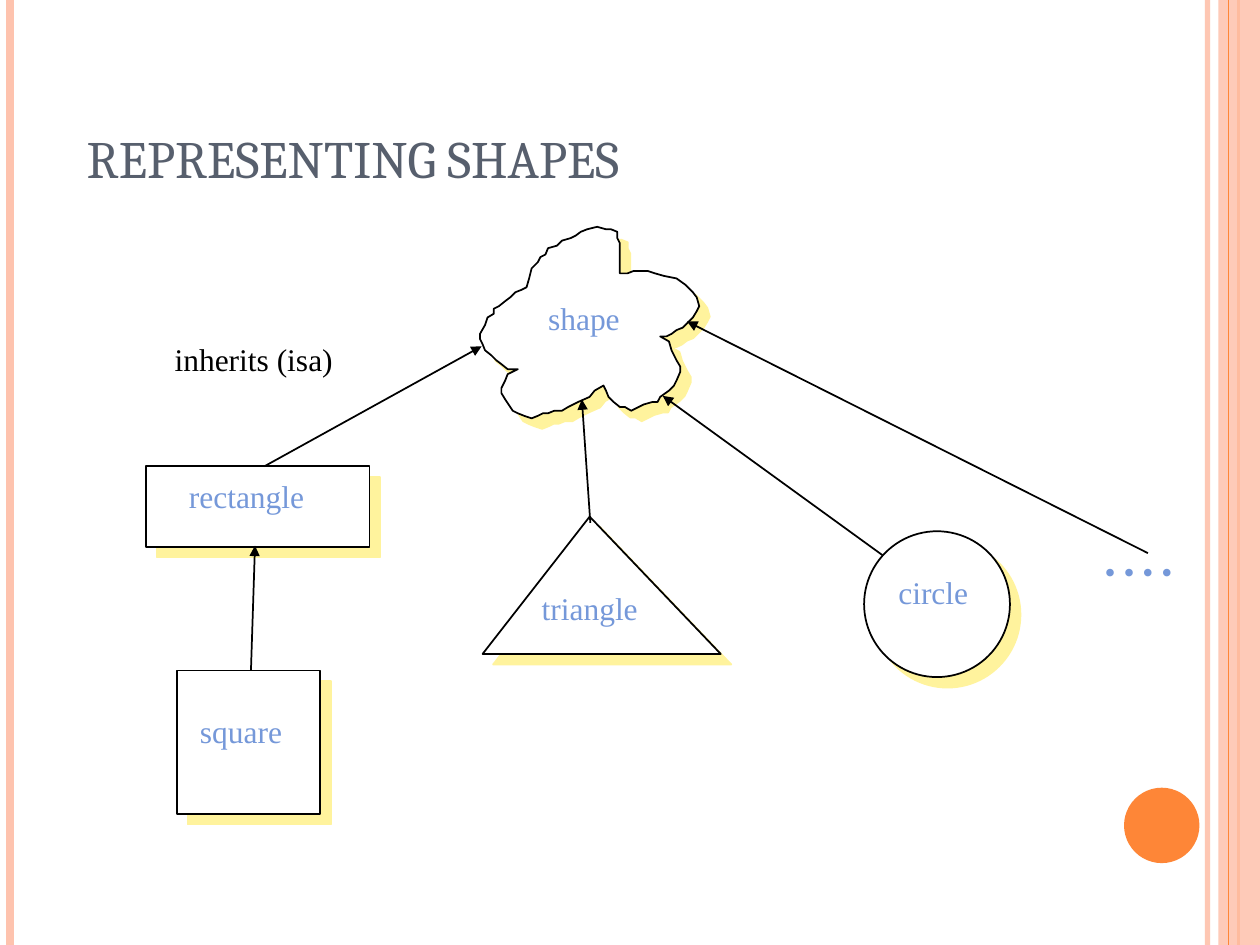
import dataclasses
import pptx
import pptx.util
import pptx.dml.color
import pptx.enum.shapes
import pptx.enum.text
import pptx.oxml
import pptx.oxml.ns
from pptx.util import Cm, Pt

MSO = pptx.enum.shapes.MSO_SHAPE


@dataclasses.dataclass(frozen=True)
class Theme:
    accent: str = "FE8637"
    pale: str = "FEC3AE"
    title: str = "575F6D"
    label: str = "7598D9"
    shadow: str = "FFF39D"
    ink: str = "000000"
    paper: str = "FFFFFF"
    title_font: str = "Cambria"
    body_font: str = "Times New Roman"
    title_size: int = 30
    body_size: int = 18
    outline: int = 1


T = Theme()

# Outlines in hundredths of an inch
UNIT = Cm(0.0254)
TRIANGLE = [(572, 519), (383, 519), (468, 410)]
CLOUD = [
    (420, 221), (422, 213), (427, 208), (429, 204), (433, 202), (435, 197),
    (442, 195), (446, 191), (453, 189), (457, 187), (461, 184), (466, 182),
    (474, 180), (481, 182), (485, 182), (490, 184), (490, 189), (492, 193),
    (492, 217), (498, 217), (503, 215), (514, 215), (520, 217), (527, 219),
    (537, 221), (544, 226), (550, 232), (553, 236), (555, 243), (553, 247),
    (550, 252), (546, 256), (542, 260), (537, 262), (533, 265), (529, 267),
    (524, 267), (531, 271), (533, 278), (535, 282), (537, 286), (540, 291),
    (540, 295), (537, 302), (535, 306), (531, 310), (524, 315), (522, 319),
    (518, 319), (511, 321), (507, 323), (501, 326), (496, 323), (492, 323),
    (487, 319), (483, 315), (481, 310), (479, 306), (472, 310), (468, 315),
    (459, 319), (455, 321), (451, 323), (446, 326), (440, 326), (435, 328),
    (431, 328), (427, 330), (422, 332), (416, 330), (411, 328), (407, 326),
    (401, 317), (398, 312), (398, 308), (401, 302), (403, 297), (407, 295),
    (411, 293), (403, 293), (398, 289), (394, 286), (390, 282), (385, 278),
    (383, 273), (381, 269), (381, 265), (385, 258), (387, 252), (392, 249),
    (392, 245), (396, 243), (401, 239), (405, 236), (409, 232), (414, 230),
    (418, 228),
]


def rgb(color):
    return pptx.dml.color.RGBColor.from_string(color)


def add_xml(parent, xml):
    ns = pptx.oxml.ns.nsdecls("a")
    parent.append(pptx.oxml.parse_xml(xml.replace(">", f" {ns}>", 1)))


def set_alpha(fill_parent, percent):
    color = fill_parent.find(".//" + pptx.oxml.ns.qn("a:srgbClr"))
    add_xml(color, f'<a:alpha val="{percent * 1000}"></a:alpha>')


def add_run(p, text, font, size, color):
    r = p.add_run()
    r.text = text
    r.font.name, r.font.size = font, Pt(size)
    r.font.color.rgb = rgb(color)


def add_label(s, text, x, y, w, color=T.label, wrap=False, before=0):
    tf = s.shapes.add_textbox(Cm(x), Cm(y), Cm(w), Cm(1.02)).text_frame
    tf.word_wrap = wrap
    tf.auto_size = pptx.enum.text.MSO_AUTO_SIZE.SHAPE_TO_FIT_TEXT
    p = tf.paragraphs[0]
    if before:
        p.space_before = Pt(before)
    add_run(p, text, T.body_font, T.body_size, color)


def add_plain(s, kind, x, y, w, h, color):
    sp = s.shapes.add_shape(kind, Cm(x), Cm(y), Cm(w), Cm(h))
    sp.shadow.inherit = False
    sp.fill.solid()
    sp.fill.fore_color.rgb = rgb(color)
    sp.line.fill.background()
    return sp


def add_line(s, x1, y1, x2, y2, color, width):
    ln = s.shapes.add_connector(pptx.enum.shapes.MSO_CONNECTOR.STRAIGHT,
                                Cm(x1), Cm(y1), Cm(x2), Cm(y2))
    ln.line.color.rgb, ln.line.width = rgb(color), Pt(width)
    add_xml(ln._element.spPr, "<a:effectLst></a:effectLst>")
    return ln


def add_arrow(s, *ends):
    ln = add_line(s, *ends, T.ink, T.outline)
    add_xml(ln._element.spPr.get_or_add_ln(),
            '<a:tailEnd type="triangle"></a:tailEnd>')


def style_figure(sp):
    """White figure with a black outline and a hard offset shadow."""
    sp.fill.solid()
    sp.fill.fore_color.rgb = rgb(T.paper)
    sp.line.color.rgb, sp.line.width = rgb(T.ink), Pt(T.outline)
    add_xml(sp._element.spPr,
            f'<a:effectLst><a:outerShdw dist="{Pt(8.5)}" dir="2700000" '
            f'algn="ctr" rotWithShape="0"><a:srgbClr val="{T.shadow}"/>'
            '</a:outerShdw></a:effectLst>')


def add_figure(s, kind, x, y, w, h):
    style_figure(s.shapes.add_shape(kind, Cm(x), Cm(y), Cm(w), Cm(h)))


def add_outline(s, points):
    fb = s.shapes.build_freeform(*points[0], scale=UNIT)
    fb.add_line_segments(points[1:], close=True)
    style_figure(fb.convert_to_shape())


def add_frame(s):
    height = 19.05
    set_alpha(add_line(s, 24.34, 0, 24.34, height, T.pale, 3)._element.spPr, 93)
    add_line(s, 0.21, 0, 0.21, height, T.pale, 4.5)
    add_line(s, 24.97, 0, 24.97, height, T.accent, 1.5)
    band = add_plain(s, MSO.RECTANGLE, 24.56, 0, 0.84, height, T.pale)
    set_alpha(band._element.spPr, 87)
    add_line(s, 24.77, 0, 24.77, height, T.accent, 0.75)
    add_plain(s, MSO.OVAL, 22.66, 15.88, 1.52, 1.52, T.accent)


def add_title(s, text):
    sp = s.shapes.title
    sp.left, sp.top, sp.width, sp.height = Cm(1.26), Cm(0.76), Cm(20.75), Cm(3.18)
    tf = sp.text_frame
    tf.vertical_anchor = pptx.enum.text.MSO_ANCHOR.BOTTOM
    p = tf.paragraphs[0]
    p.alignment = pptx.enum.text.PP_ALIGN.LEFT
    add_run(p, text, T.title_font, T.title_size, T.title)


def main():
    prs = pptx.Presentation()
    prs.slide_width, prs.slide_height = Cm(25.4), Cm(19.05)
    s = prs.slides.add_slide(prs.slide_layouts[5])
    add_frame(s)
    add_title(s, " REPRESENTING SHAPES")

    # Class figures
    add_outline(s, CLOUD)
    add_figure(s, MSO.RECTANGLE, 2.95, 9.4, 4.5, 1.63)
    add_figure(s, MSO.RECTANGLE, 3.57, 13.52, 2.89, 2.89)
    add_outline(s, TRIANGLE)
    add_figure(s, MSO.OVAL, 17.42, 10.71, 2.94, 2.94)

    # Class names
    for name in [("shape", 10.8, 5.9, 2), ("rectangle", 3.56, 9.5, 2.9),
                 ("square", 3.78, 14.23, 2.2), ("triangle", 10.67, 11.75, 2.5),
                 ("circle", 17.86, 11.43, 2)]:
        add_label(s, *name)
    add_label(s, "• • • •", 22.02, 11, 2.84, wrap=True, before=11.2)

    # Inheritance arrows, from subclass to parent
    for ends in [(5.33, 9.4, 9.71, 6.98), (11.9, 10.54, 11.73, 8.05),
                 (17.8, 11.2, 13.36, 7.98), (5.06, 13.51, 5.14, 11),
                 (23.14, 11.15, 13.85, 6.48)]:
        add_arrow(s, *ends)
    add_label(s, "inherits (isa)", 3.27, 6.73, 3.75, color=T.ink)
    prs.save("out.pptx")


if __name__ == "__main__":
    main()
